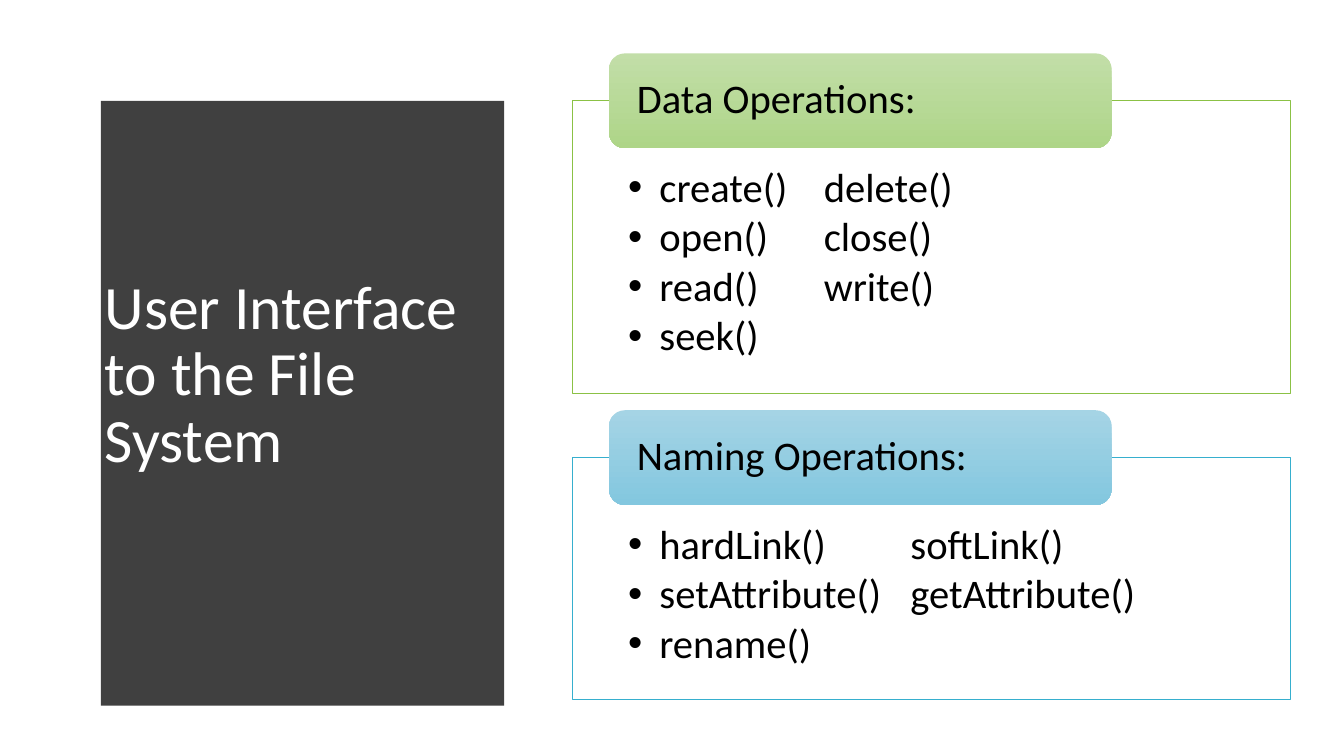
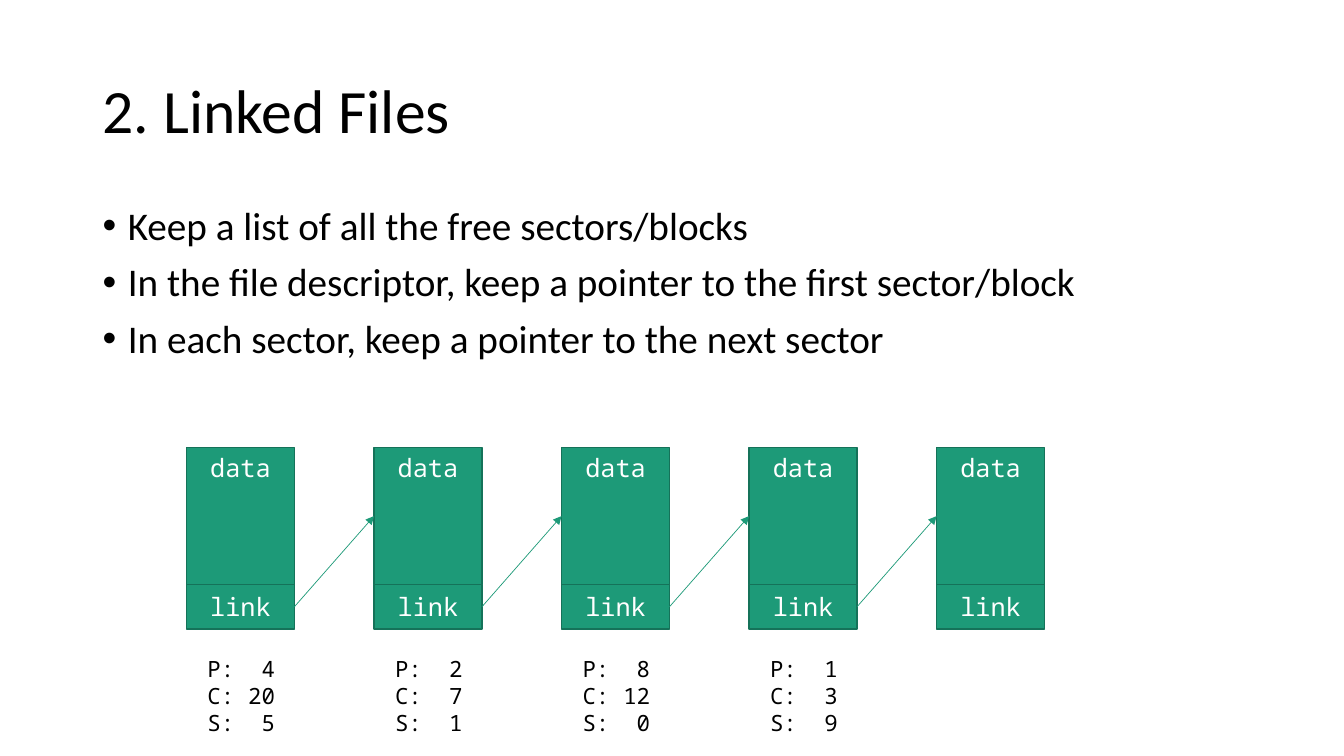
from lxml.etree import SubElement
from pptx import Presentation
from pptx.dml.color import RGBColor
from pptx.enum.shapes import MSO_CONNECTOR, MSO_SHAPE
from pptx.enum.text import MSO_ANCHOR, PP_ALIGN
from pptx.oxml.ns import qn
from pptx.util import Inches, Pt

SLIDE_SIZE = (13.33, 7.5)
SANS, MONO = "Calibri", "Noto Sans Mono"
COLORS = {
    "black": "000000", "white": "FFFFFF", "panel": "404040",
    "lime": "8BC145", "lime_top": "C2DEA8", "lime_bottom": "AED588",
    "cyan": "36AFCE", "cyan_top": "A5D4E5", "cyan_bottom": "83C7DF",
    "sector": "1D9A78", "sector_edge": "157259",
}

INTERFACE_TITLE = "User Interface to the File System"
OPERATION_GROUPS = [
    {"heading": "Data Operations:", "color": "lime", "top": 1.0, "height": 2.9,
     "calls": ["create()", "open()", "read()", "seek()"],
     "column": 1.94, "partners": ["delete()", "close()", "write()"]},
    {"heading": "Naming Operations:", "color": "cyan", "top": 4.54, "height": 2.4,
     "calls": ["hardLink()", "setAttribute()", "rename()"],
     "column": 2.8, "partners": ["softLink()", "getAttribute()"]},
]
LINKED_TITLE = "2. Linked Files"
LINKED_POINTS = [
    "Keep a list of all the free sectors/blocks",
    "In the file descriptor, keep a pointer to the first sector/block",
    "In each sector, keep a pointer to the next sector",
]
ADDRESS_LABELS = ("P:", "C:", "S:")
ADDRESSES = [(4, 20, 5), (2, 7, 1), (8, 12, 0), (1, 3, 9)]
SECTOR_COUNT = 5


def rgb(name):
    return RGBColor.from_string(COLORS[name])


def box(values):
    return [Inches(value) for value in values]


def add_bullet(paragraph, indent):
    properties = paragraph._p.get_or_add_pPr()
    properties.set("marL", str(Inches(indent)))
    properties.set("indent", str(-Inches(indent)))
    SubElement(properties, qn("a:buFont"), typeface="Arial")
    SubElement(properties, qn("a:buChar"), char="•")


def add_right_tab(paragraph, position):
    tabs = SubElement(paragraph._p.get_or_add_pPr(), qn("a:tabLst"))
    SubElement(tabs, qn("a:tab"), pos=str(Inches(position)), algn="r")


def write(shape, lines, size, color="black", font=SANS, anchor=MSO_ANCHOR.TOP,
          align=PP_ALIGN.LEFT, insets=(0.1, 0.05, 0.1, 0.05), spacing=0.9,
          before=0, after=0, bullet=None, tab=None):
    frame = shape.text_frame
    frame.word_wrap = True
    frame.vertical_anchor = anchor
    (frame.margin_left, frame.margin_top,
     frame.margin_right, frame.margin_bottom) = box(insets)
    for index, line in enumerate(lines):
        paragraph = frame.add_paragraph() if index else frame.paragraphs[0]
        paragraph.text = line
        if bullet:
            add_bullet(paragraph, bullet)
        if tab:
            add_right_tab(paragraph, tab)
        paragraph.alignment = align
        paragraph.line_spacing = spacing
        paragraph.space_before = Pt(before if index else 0)
        paragraph.space_after = Pt(after)
        paragraph.font.name = font
        paragraph.font.size = Pt(size)
        paragraph.font.color.rgb = rgb(color)


def add_text(slide, bounds, lines, size, **style):
    write(slide.shapes.add_textbox(*box(bounds)), lines, size, **style)


def add_title(slide, bounds, title, color="black"):
    add_text(slide, bounds, [title], 44, color=color, anchor=MSO_ANCHOR.MIDDLE)


def add_block(slide, kind, bounds, fill, line=None, width=1):
    shape = slide.shapes.add_shape(kind, *box(bounds))
    shape.shadow.inherit = False
    if isinstance(fill, tuple):
        shape.fill.gradient()
        shape.fill.gradient_angle = 270
        for stop, color in zip(shape.fill.gradient_stops, fill):
            stop.color.rgb = rgb(color)
    else:
        shape.fill.solid()
        shape.fill.fore_color.rgb = rgb(fill)
    if line:
        shape.line.color.rgb = rgb(line)
        shape.line.width = Pt(width)
    else:
        shape.line.fill.background()
    return shape


def add_arrow(slide, source, target):
    arrow = slide.shapes.add_connector(MSO_CONNECTOR.STRAIGHT, 0, 0, 0, 0)
    arrow.begin_connect(source, 3)
    arrow.end_connect(target, 1)
    arrow.line.color.rgb = rgb("sector")
    arrow.line.width = Pt(0.5)
    SubElement(arrow.line._get_or_add_ln(), qn("a:tailEnd"), type="triangle")
    SubElement(arrow._element.spPr, qn("a:effectLst"))


def add_curved_panel(slide):
    left, top, bottom, apex, bulge, steps = 0.53, 0.52, 6.96, 5.32, 0.24, 40
    curve = []
    for step in range(steps + 1):
        share = step / steps
        x = apex - bulge * abs(2 * share - 1) ** 2.1
        curve.append((x, top + (bottom - top) * share))
    builder = slide.shapes.build_freeform(left, top, scale=Inches(1))
    builder.add_line_segments(curve + [(left, bottom)], close=True)
    panel = builder.convert_to_shape()
    panel.shadow.inherit = False
    panel.fill.solid()
    panel.fill.fore_color.rgb = rgb("panel")
    panel.line.fill.background()


def add_operation_group(slide, group):
    left, width, inset = 5.68, 7.12, 0.55
    top, height, color = group["top"], group["height"], group["color"]
    style = {"after": 4}
    frame = add_block(slide, MSO_SHAPE.RECTANGLE, (left, top, width, height),
                      "white", color, 0.5)
    write(frame, group["calls"], 29, bullet=0.31,
          insets=(inset, 0.66, inset, 0.23), **style)
    column = inset + group["column"]
    add_text(slide, (left + column, top, width - column - inset, height),
             group["partners"], 29, insets=(0, 0.66, 0, 0.23), **style)
    heading = add_block(slide, MSO_SHAPE.ROUNDED_RECTANGLE,
                        (left + 0.36, top - 0.47, 0.7 * width, 0.94),
                        (color + "_top", color + "_bottom"))
    write(heading, [group["heading"]], 29, anchor=MSO_ANCHOR.MIDDLE,
          insets=(0.23, 0, 0.23, 0))


def build_interface_slide(slide):
    add_curved_panel(slide)
    add_title(slide, (0.94, 1.11, 3.74, 5.24), INTERFACE_TITLE, "white")
    for group in OPERATION_GROUPS:
        add_operation_group(slide, group)


def build_linked_slide(slide):
    add_title(slide, (0.92, 0.4, 11.5, 1.45), LINKED_TITLE)
    add_text(slide, (0.92, 2, 11.5, 2.2), LINKED_POINTS, 28, before=10, bullet=0.25)
    first, pitch, width = 1.85, 1.86, 1.07
    parts = [("data", 4.44, 1.36, MSO_ANCHOR.TOP),
             ("link", 5.8, 0.44, MSO_ANCHOR.MIDDLE)]
    sectors = []
    for index in range(SECTOR_COUNT):
        sector = {}
        for name, top, height, anchor in parts:
            bounds = (first + index * pitch, top, width, height)
            sector[name] = add_block(slide, MSO_SHAPE.RECTANGLE, bounds,
                                     "sector", "sector_edge")
            write(sector[name], [name], 18, color="white", font=MONO,
                  anchor=anchor, align=PP_ALIGN.CENTER, spacing=1.0)
        sectors.append(sector)
    for source, target in zip(sectors, sectors[1:]):
        add_arrow(slide, source["link"], target["data"])
    for index, address in enumerate(ADDRESSES):
        lines = [f"{label}\t{value}" for label, value in zip(ADDRESS_LABELS, address)]
        add_text(slide, (first + index * pitch + 0.11, 6.45, 0.87, 0.91), lines, 16,
                 font=MONO, spacing=1.0, tab=0.67, insets=(0.1, 0.05, 0, 0.05))


def main():
    presentation = Presentation()
    presentation.slide_width, presentation.slide_height = box(SLIDE_SIZE)
    for build in (build_interface_slide, build_linked_slide):
        build(presentation.slides.add_slide(presentation.slide_layouts[6]))
    presentation.save("out.pptx")


if __name__ == "__main__":
    main()
